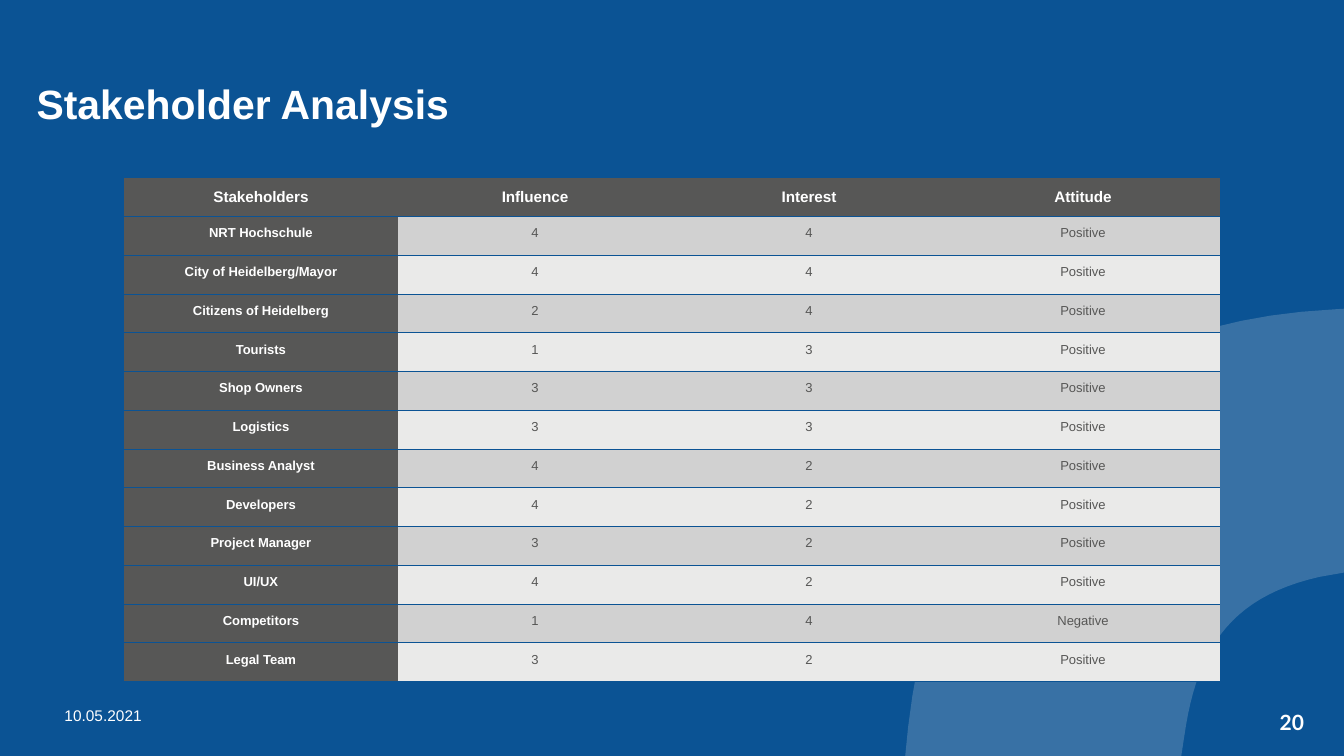
"""Build the stakeholder analysis slide."""
from dataclasses import dataclass

from lxml import etree
from pptx import Presentation
from pptx.dml.color import RGBColor
from pptx.enum.text import MSO_ANCHOR, PP_ALIGN
from pptx.oxml.ns import qn
from pptx.util import Pt

LEFT, CENTER, RIGHT = PP_ALIGN.LEFT, PP_ALIGN.CENTER, PP_ALIGN.RIGHT
TOP, MIDDLE = MSO_ANCHOR.TOP, MSO_ANCHOR.MIDDLE
BLUE, WHITE, GREY = "0B5394", "FFFFFF", "575756"
BANDS = ("D1D1D1", "EAEAE9")
ARC_COLOR = "EEEDEB"
LOWERED = "-1000"
CURVE_STEPS = 24

HEADINGS = ("Stakeholders", "Influence", "Interest", "Attitude")
STAKEHOLDERS = (
    ("NRT Hochschule", 4, 4, "Positive"),
    ("City of Heidelberg/Mayor", 4, 4, "Positive"),
    ("Citizens of Heidelberg", 2, 4, "Positive"),
    ("Tourists", 1, 3, "Positive"),
    ("Shop Owners", 3, 3, "Positive"),
    ("Logistics", 3, 3, "Positive"),
    ("Business Analyst", 4, 2, "Positive"),
    ("Developers", 4, 2, "Positive"),
    ("Project Manager", 3, 2, "Positive"),
    ("UI/UX", 4, 2, "Positive"),
    ("Competitors", 1, 4, "Negative"),
    ("Legal Team", 3, 2, "Positive"),
)


@dataclass(frozen=True)
class TextStyle:
    size: float
    color: str = WHITE
    bold: bool = False
    font: str = "Arial"
    align: PP_ALIGN = LEFT
    lowered: bool = False


@dataclass(frozen=True)
class Label:
    text: str
    left: float
    top: float
    width: float
    height: float
    style: TextStyle
    inset_x: float = 0
    inset_y: float = 0
    anchor: MSO_ANCHOR = TOP
    wrap: bool = False


LABELS = (
    Label("20", 913.5, 507, 18, 18,
          TextStyle(15, bold=True, font="Lato", align=RIGHT), anchor=MIDDLE),
    Label("Stakeholder Analysis", 22.5, 31, 516, 68.5,
          TextStyle(50.4, bold=True, lowered=True), 3.6, 3.6),
    Label("10.05.2021", 39, 501, 482, 21, TextStyle(11), 7.2, 3.6, wrap=True),
)


def rgb(color: str) -> RGBColor:
    return RGBColor.from_string(color)


def style_paragraph(paragraph, style: TextStyle) -> None:
    paragraph.alignment = style.align
    font = paragraph.font
    font.name, font.size, font.bold = style.font, Pt(style.size), style.bold
    font.color.rgb = rgb(style.color)
    if style.lowered:
        paragraph._p.pPr.find(qn("a:defRPr")).set("baseline", LOWERED)


def add_label(slide, label: Label) -> None:
    box = slide.shapes.add_textbox(
        Pt(label.left), Pt(label.top), Pt(label.width), Pt(label.height))
    frame = box.text_frame
    frame.word_wrap = label.wrap
    frame.vertical_anchor = label.anchor
    frame.margin_left = frame.margin_right = Pt(label.inset_x)
    frame.margin_top = frame.margin_bottom = Pt(label.inset_y)
    frame.text = label.text
    style_paragraph(frame.paragraphs[0], label.style)


def curve(start: tuple, control_1: tuple, control_2: tuple, end: tuple) -> list[tuple]:
    points = []
    for step in range(1, CURVE_STEPS + 1):
        t = step / CURVE_STEPS
        weights = ((1 - t) ** 3, 3 * t * (1 - t) ** 2, 3 * t ** 2 * (1 - t), t ** 3)
        points.append(tuple(
            sum(w * value for w, value in zip(weights, axis))
            for axis in zip(start, control_1, control_2, end)))
    return points


def add_corner_arc(slide) -> None:
    inner = curve((950.4, 410.4), (882, 423.4), (855.4, 459.4), (846, 525.6))
    outer = curve((648.7, 519.1), (669.6, 340.6), (765.4, 230.4), (952.6, 221))
    outline = [(960, 409), *inner, (843.8, 540), (646.6, 540), (648.7, 519.1),
               *outer, (960, 220.5)]
    builder = slide.shapes.build_freeform(Pt(960), Pt(220.5))
    builder.add_line_segments([(Pt(x), Pt(y)) for x, y in outline], close=True)
    arc = builder.convert_to_shape()
    arc.shadow.inherit = False
    arc.line.fill.background()
    arc.fill.solid()
    arc.fill.fore_color.rgb = rgb(ARC_COLOR)
    tint = arc._element.spPr.find(qn("a:solidFill"))[0]
    etree.SubElement(tint, qn("a:alpha"), val="20000")


def set_borders(cell) -> None:
    properties = cell._tc.get_or_add_tcPr()
    for index, side in enumerate(("lnL", "lnR", "lnT", "lnB")):
        border = etree.Element(qn(f"a:{side}"), w=str(Pt(0.5)))
        if side in ("lnL", "lnR"):
            etree.SubElement(border, qn("a:noFill"))
        else:
            fill = etree.SubElement(border, qn("a:solidFill"))
            etree.SubElement(fill, qn("a:srgbClr"), val=BLUE)
        properties.insert(index, border)


def fill_cell(cell, text: str, fill: str, style: TextStyle) -> None:
    cell.fill.solid()
    cell.fill.fore_color.rgb = rgb(fill)
    set_borders(cell)
    cell.margin_left = cell.margin_right = Pt(0.75)
    cell.margin_top = cell.margin_bottom = Pt(0.75)
    cell.text = text
    paragraph = cell.text_frame.paragraphs[0]
    paragraph.space_before = Pt(12)
    style_paragraph(paragraph, style)


def add_stakeholder_table(slide) -> None:
    heading = TextStyle(18.7, bold=True, align=CENTER, lowered=True)
    name = TextStyle(16, bold=True, align=CENTER, lowered=True)
    rating = TextStyle(16, GREY, align=CENTER, lowered=True)
    rows = (HEADINGS, *STAKEHOLDERS)
    table = slide.shapes.add_table(
        len(rows), len(HEADINGS), Pt(88.5), Pt(127), Pt(783), Pt(360)).table
    table.first_row = table.horz_banding = False
    for row, values in enumerate(rows):
        for column, value in enumerate(values):
            if row == 0:
                fill, style = GREY, heading
            elif column == 0:
                fill, style = GREY, name
            else:
                fill, style = BANDS[(row - 1) % 2], rating
            fill_cell(table.cell(row, column), str(value), fill, style)


def main() -> None:
    presentation = Presentation()
    presentation.slide_width, presentation.slide_height = Pt(960), Pt(540)
    slide = presentation.slides.add_slide(presentation.slide_layouts[6])
    background = slide.background.fill
    background.solid()
    background.fore_color.rgb = rgb(BLUE)
    add_corner_arc(slide)
    add_stakeholder_table(slide)
    for label in LABELS:
        add_label(slide, label)
    presentation.save("out.pptx")


if __name__ == "__main__":
    main()
